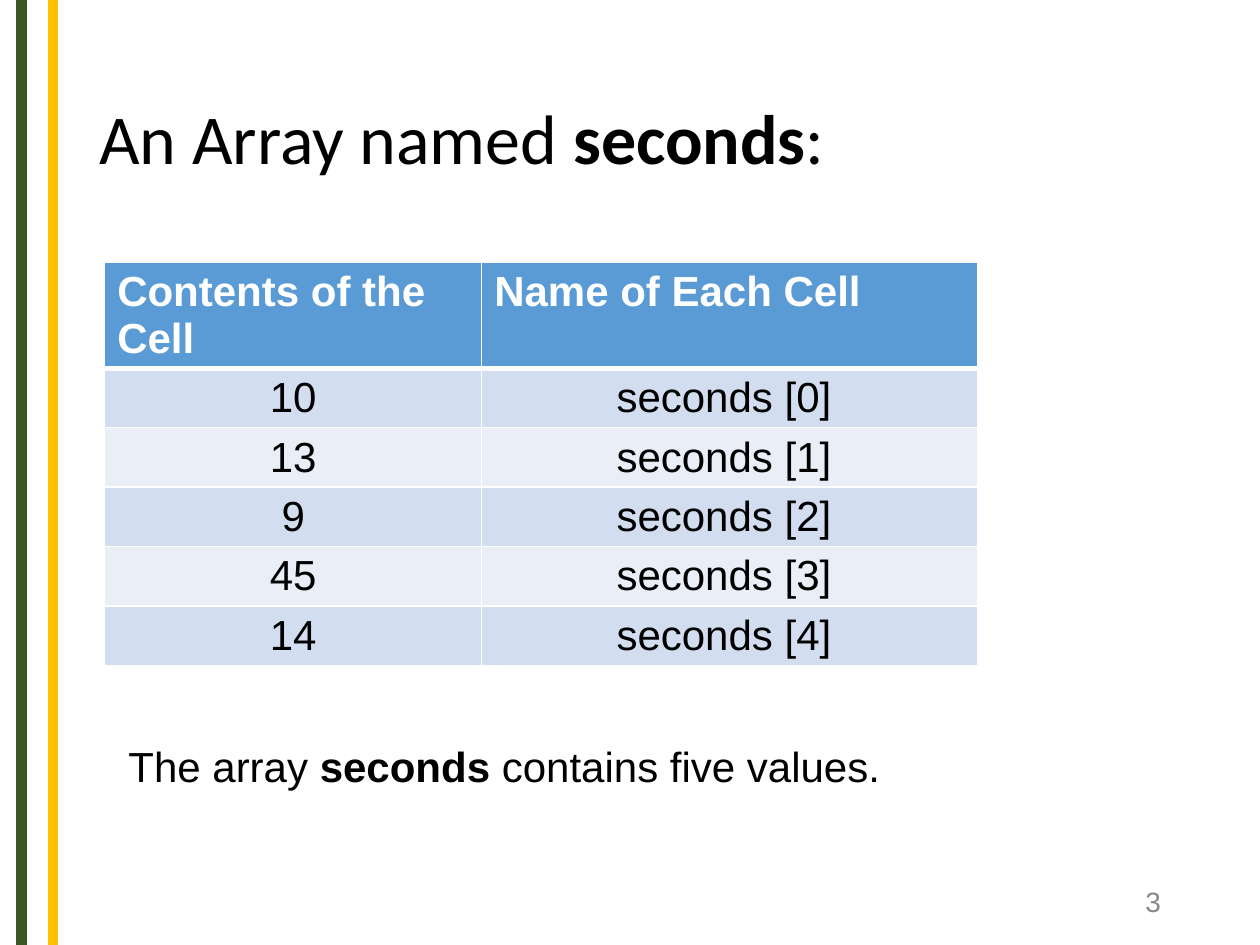
from lxml import etree
from pptx import Presentation
from pptx import util as u
from pptx.dml import color
from pptx.enum import shapes, text
from pptx.oxml import ns

BLACK, WHITE = "000000", "FFFFFF"
HEADER_FILL, BAND_FILLS = "5B9BD5", ("D2DEEF", "EAEFF7")
HEADINGS = ("Contents of the Cell", "Name of Each Cell")
SECONDS = (10, 13, 9, 45, 14)


def rgb(value):
    """Return the colour for a hex string."""
    return color.RGBColor.from_string(value)


def assign(target, values):
    """Set each named attribute on the target."""
    for name, value in values.items():
        setattr(target, name, value)


def write(frame, pieces, size, font="Arial", hex_color=BLACK, **paragraph_format):
    """Write (wording, bold) pieces as one formatted paragraph."""
    paragraph = frame.paragraphs[0]
    assign(paragraph, paragraph_format)
    for wording, bold in pieces:
        run = paragraph.add_run()
        run.text = wording
        assign(run.font, {"name": font, "size": u.Pt(size), "bold": bold})
        run.font.color.rgb = rgb(hex_color)


def place(shape, box):
    """Move a shape to a box of left, top, width and height in centimetres."""
    names = ("left", "top", "width", "height")
    assign(shape, dict(zip(names, map(u.Cm, box))))


def add_stripes(slide, box, stripes):
    """Draw vertical stripes at offsets within the box."""
    left, top, width, height = box
    for offset, hex_color in stripes:
        x = u.Cm(left + offset)
        stripe = slide.shapes.add_connector(
            shapes.MSO_CONNECTOR.STRAIGHT, x, u.Cm(top), x, u.Cm(top + height))
        stripe.line.color.rgb = rgb(hex_color)
        stripe.line.width = u.Pt(6)
        etree.SubElement(stripe._element.spPr, ns.qn("a:effectLst"))


def add_title(slide, box, pieces):
    """Fill the title placeholder."""
    title = slide.shapes.title
    place(title, box)
    assign(title.text_frame, {"word_wrap": True,
                              "auto_size": text.MSO_AUTO_SIZE.NONE,
                              "vertical_anchor": text.MSO_ANCHOR.MIDDLE})
    write(title.text_frame, pieces, 40, "Calibri",
          alignment=text.PP_ALIGN.LEFT, line_spacing=0.9)


def add_text(slide, box, pieces, size, hex_color=BLACK,
             anchor=text.MSO_ANCHOR.TOP, alignment=text.PP_ALIGN.LEFT):
    """Add a wrapped text box."""
    frame = slide.shapes.add_textbox(*map(u.Cm, box)).text_frame
    assign(frame, {"word_wrap": True, "vertical_anchor": anchor})
    write(frame, pieces, size, hex_color=hex_color, alignment=alignment)


def set_borders(cell, bottom_width):
    """Give a cell white borders, with its own bottom width in points."""
    properties = cell._tc.get_or_add_tcPr()
    for tag, width in (("lnL", 1), ("lnR", 1), ("lnT", 1), ("lnB", bottom_width)):
        line = etree.SubElement(properties, ns.qn(f"a:{tag}"), w=str(u.Pt(width)))
        fill = etree.SubElement(line, ns.qn("a:solidFill"))
        etree.SubElement(fill, ns.qn("a:srgbClr"), val=WHITE)


def add_array_table(slide, box, column_widths):
    """Add the table of array values and cell names."""
    rows = [HEADINGS] + [(str(value), f"seconds [{index}] ")
                         for index, value in enumerate(SECONDS)]
    table = slide.shapes.add_table(
        len(rows), len(HEADINGS), *map(u.Cm, box)).table
    for column, width in zip(table.columns, column_widths):
        column.width = u.Cm(width)
    for row_index, row in enumerate(rows):
        header = row_index == 0
        table.rows[row_index].height = u.Cm(1.04)
        fill = HEADER_FILL if header else BAND_FILLS[(row_index - 1) % 2]
        for cell, wording in zip(table.rows[row_index].cells, row):
            set_borders(cell, 3 if header else 1)
            cell.fill.solid()
            cell.fill.fore_color.rgb = rgb(fill)
            write(cell.text_frame, [(wording, header)], 24,
                  hex_color=WHITE if header else BLACK,
                  alignment=text.PP_ALIGN.LEFT if header else text.PP_ALIGN.CENTER)


def main():
    """Build and save the slide."""
    presentation = Presentation()
    assign(presentation, {"slide_width": u.Cm(25.4), "slide_height": u.Cm(19.05)})
    slide = presentation.slides.add_slide(presentation.slide_layouts[5])
    add_stripes(slide, (0.43, 0, 0.64, 19.05), ((0, "385723"), (0.64, "FFC000")))
    add_title(slide, (1.75, 1.02, 21.9, 3.68),
              [("An Array named ", False), ("seconds", True), (":", False)])
    add_array_table(slide, (2.11, 5.28, 17.6, 6.24), (7.6, 10))
    add_text(slide, (17.93, 17.65, 5.72, 1.02), [("3", False)], 16, "898989",
             text.MSO_ANCHOR.MIDDLE, text.PP_ALIGN.RIGHT)
    add_text(slide, (2.34, 14.81, 17.4, 2.31),
             [("The array ", False), ("seconds ", True),
              ("contains five values.", False)], 24)
    presentation.save("out.pptx")


if __name__ == "__main__":
    main()
